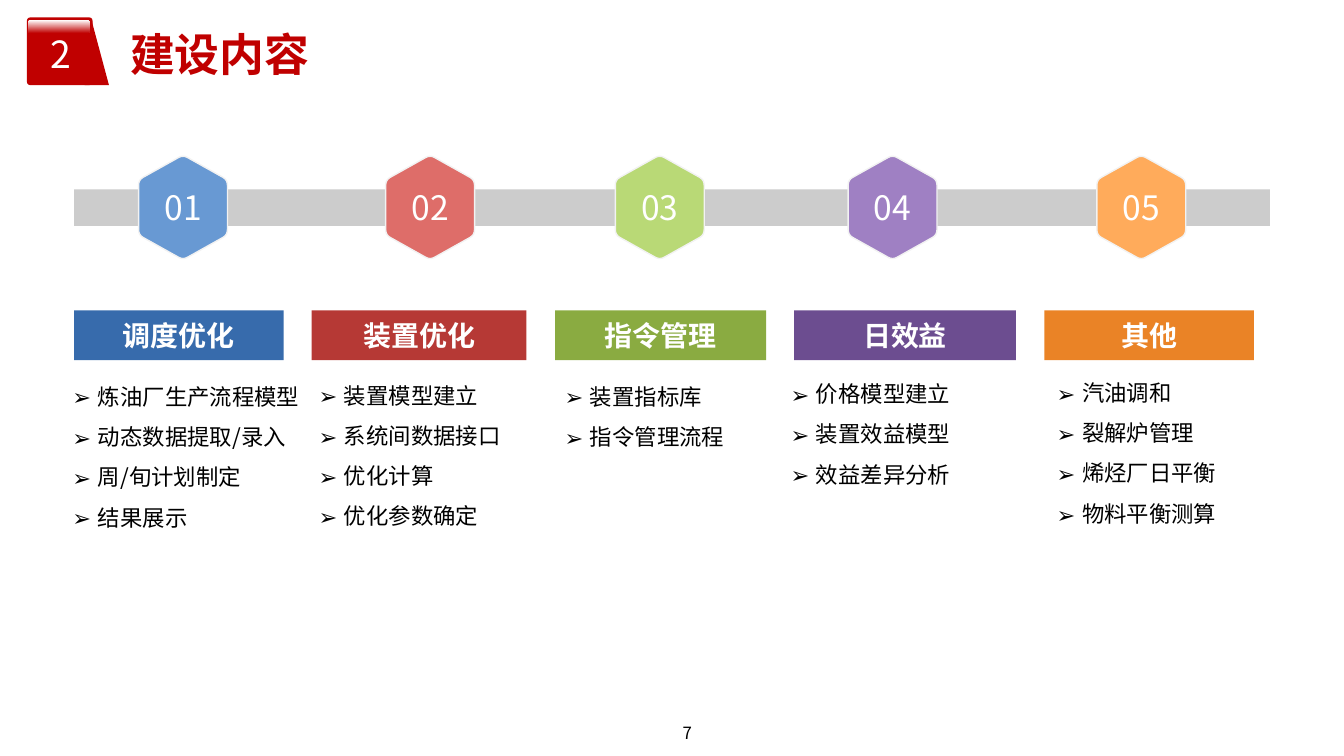
"""Build the construction-content slide: five numbered steps with their task lists."""
from dataclasses import dataclass
from typing import Any, Sequence

from lxml import etree
from pptx import Presentation
from pptx import util as u
from pptx.dml import color
from pptx.enum import shapes, text
from pptx.oxml import ns


@dataclass(frozen=True)
class Theme:
    font: str = "Noto Sans CJK SC"
    accent: str = "C00000"
    ink: str = "000000"
    paper: str = "FFFFFF"
    track: str = "CCCCCC"
    edge: str = "F2F2F2"
    title_size: float = 24
    badge_size: float = 20
    step_size: float = 18
    header_size: float = 15
    list_size: float = 12
    page_size: float = 9


@dataclass(frozen=True)
class Box:
    left: float
    top: float
    width: float
    height: float

    def emu(self) -> tuple[int, ...]:
        return tuple(u.Cm(v) for v in (self.left, self.top, self.width, self.height))


@dataclass(frozen=True)
class Step:
    heading: str
    tasks: tuple[str, ...]
    hexagon_fill: str
    header_fill: str
    hexagon_center: float
    header: Box
    tasks_box: Box


THEME = Theme()
NARROW = (0.18, 0.1, 0.18, 0.1)
NO_INSET = (0, 0, 0, 0)
HEADER_TOP, HEADER_HEIGHT = 5.87, 0.94
HEXAGON_MIDDLE = 3.92
STEPS = (
    Step("调度优化", ("炼油厂生产流程模型", "动态数据提取/录入", "周/旬计划制定", "结果展示"),
         "6899D3", "376BAC", 3.46,
         Box(1.4, HEADER_TOP, 3.96, HEADER_HEIGHT), Box(1.19, 6.88, 4.88, 3.61)),
    Step("装置优化", ("装置模型建立", "系统间数据接口", "优化计算", "优化参数确定"),
         "DE6D69", "B63935", 8.13,
         Box(5.89, HEADER_TOP, 4.06, HEADER_HEIGHT), Box(5.84, 6.86, 4.88, 3.2)),
    Step("指令管理", ("装置指标库", "指令管理流程"),
         "B9D976", "8AAB41", 12.47,
         Box(10.49, HEADER_TOP, 3.99, HEADER_HEIGHT), Box(10.49, 6.88, 3.99, 1.83)),
    Step("日效益", ("价格模型建立", "装置效益模型", "效益差异分析"),
         "9F80C3", "6C4D90", 16.87,
         Box(15.01, HEADER_TOP, 4.19, HEADER_HEIGHT), Box(14.76, 6.83, 4.5, 3.18)),
    Step("其他", ("汽油调和", "裂解炉管理", "烯烃厂日平衡", "物料平衡测算"),
         "FFAB5B", "EA8326", 21.57,
         Box(19.74, HEADER_TOP, 3.96, HEADER_HEIGHT), Box(19.79, 6.81, 3.71, 3.73)),
)


def rgb(value: str) -> color.RGBColor:
    return color.RGBColor.from_string(value)


def paint(shape: Any, fill: str, edge: str | None = None) -> None:
    shape.shadow.inherit = False
    shape.fill.solid()
    shape.fill.fore_color.rgb = rgb(fill)
    if edge:
        shape.line.color.rgb = rgb(edge)
        shape.line.width = u.Pt(0)
    else:
        shape.line.fill.background()


def place(shape: Any, box: Box) -> None:
    shape.left, shape.top, shape.width, shape.height = box.emu()


def write(shape: Any, lines: Sequence[str], size: float, ink: str, bold: bool = False,
          align: Any = text.PP_ALIGN.LEFT, anchor: Any = text.MSO_ANCHOR.TOP,
          insets: Sequence[float] = NARROW, spacing: float = 1.0, wrap: bool = True) -> None:
    frame = shape.text_frame
    frame.text = "\n".join(lines)
    frame.auto_size = text.MSO_AUTO_SIZE.NONE
    frame.word_wrap = wrap
    frame.vertical_anchor = anchor
    (frame.margin_left, frame.margin_top,
     frame.margin_right, frame.margin_bottom) = (u.Cm(v) for v in insets)
    for paragraph in frame.paragraphs:
        paragraph.alignment = align
        paragraph.line_spacing = spacing
        paragraph.space_before = u.Pt(0)
        for run in paragraph.runs:
            run.font.size = u.Pt(size)
            run.font.bold = bold
            run.font.color.rgb = rgb(ink)
            run.font.name = THEME.font
            etree.SubElement(run.font._element, ns.qn("a:ea"), typeface=THEME.font)


def add_block(canvas: Any, box: Box, fill: str, kind: Any = shapes.MSO_SHAPE.RECTANGLE) -> Any:
    block = canvas.add_shape(kind, *box.emu())
    paint(block, fill)
    return block


def add_outline(canvas: Any, points: Sequence[tuple[float, float]], fill: str,
                edge: str | None = None) -> Any:
    start, *rest = [(u.Cm(x), u.Cm(y)) for x, y in points]
    builder = canvas.build_freeform(*start)
    builder.add_line_segments(rest, close=True)
    outline = builder.convert_to_shape()
    paint(outline, fill, edge)
    return outline


def hexagon_points(center: float, middle: float) -> list[tuple[float, float]]:
    half, shoulder, apex, cut, pieces = 0.84, 0.52, 0.99, 0.1, 4
    corners = [(0, -apex), (half, -shoulder), (half, shoulder),
               (0, apex), (-half, shoulder), (-half, -shoulder)]
    points = []
    for i, corner in enumerate(corners):
        before, after = corners[i - 1], corners[(i + 1) % len(corners)]
        for piece in range(pieces + 1):
            t = piece / pieces
            x, y = (c + cut * ((1 - t) ** 2 * (b - c) + t ** 2 * (a - c))
                    for b, c, a in zip(before, corner, after))
            points.append((center + x, middle + y))
    return points


def add_step(canvas: Any, number: int, step: Step) -> None:
    centered = {"align": text.PP_ALIGN.CENTER, "anchor": text.MSO_ANCHOR.MIDDLE}
    hexagon = add_outline(canvas, hexagon_points(step.hexagon_center, HEXAGON_MIDDLE),
                          step.hexagon_fill, THEME.edge)
    write(hexagon, [f"{number:02d}"], THEME.step_size, THEME.paper, **centered)
    header = add_block(canvas, step.header, step.header_fill)
    write(header, [step.heading], THEME.header_size, THEME.paper, bold=True, **centered)


def fill_tasks(tasks: Any, step: Step) -> None:
    place(tasks, step.tasks_box)
    write(tasks, step.tasks, THEME.list_size, THEME.ink, spacing=1.5)
    for paragraph in tasks.text_frame.paragraphs:
        properties = paragraph._p.get_or_add_pPr()
        properties.set("marL", str(u.Cm(0.48)))
        properties.set("indent", str(-u.Cm(0.48)))
        etree.SubElement(properties, ns.qn("a:buFont"), typeface=THEME.font)
        etree.SubElement(properties, ns.qn("a:buChar"), char="➢")


def add_badge(slide: Any) -> None:
    badge = slide.shapes.add_group_shape().shapes
    rounded = shapes.MSO_SHAPE.ROUNDED_RECTANGLE
    add_block(badge, Box(0.51, 0.33, 1.24, 1.28), THEME.accent, rounded).adjustments[0] = 0.05
    add_outline(badge, [(1.73, 0.38), (2.06, 1.61), (1.6, 1.61), (1.52, 0.76)], THEME.accent)
    gloss = add_block(badge, Box(0.53, 0.38, 1.17, 0.25), THEME.accent, rounded)
    gloss.adjustments[0] = 0.2
    gloss.fill.gradient()
    gloss.fill.gradient_angle = 270
    for stop, tone, position in zip(gloss.fill.gradient_stops,
                                    (THEME.paper, THEME.accent), (0, 1)):
        stop.color.rgb = rgb(tone)
        stop.position = position
    chapter = badge.add_textbox(*Box(0.89, 0.76, 0.51, 0.69).emu())
    write(chapter, ["2"], THEME.badge_size, THEME.paper, align=text.PP_ALIGN.CENTER,
          insets=NO_INSET, spacing=0.8)


def main() -> None:
    deck = Presentation()
    deck.slide_width, deck.slide_height = u.Cm(25.4), u.Cm(14.29)
    slide = deck.slides.add_slide(deck.slide_layouts.get_by_name("Comparison"))
    title, *task_lists = slide.placeholders
    place(title, Box(2.21, 0.38, 3.94, 1.27))
    write(title, ["建设内容"], THEME.title_size, THEME.accent, bold=True,
          insets=(0.25, 0.13, 0.25, 0.13), wrap=False)
    add_badge(slide)
    add_block(slide.shapes, Box(1.4, 3.58, 22.6, 0.69), THEME.track)
    task_lists.append(slide.shapes.add_textbox(*STEPS[-1].tasks_box.emu()))
    for number, (step, tasks) in enumerate(zip(STEPS, task_lists), start=1):
        add_step(slide.shapes, number, step)
        fill_tasks(tasks, step)
    page = slide.shapes.add_textbox(*Box(12.65, 13.54, 1.73, 0.75).emu())
    write(page, ["7"], THEME.page_size, THEME.ink, insets=(0.25, 0.13, 0.25, 0.13))
    deck.save("out.pptx")


if __name__ == "__main__":
    main()
